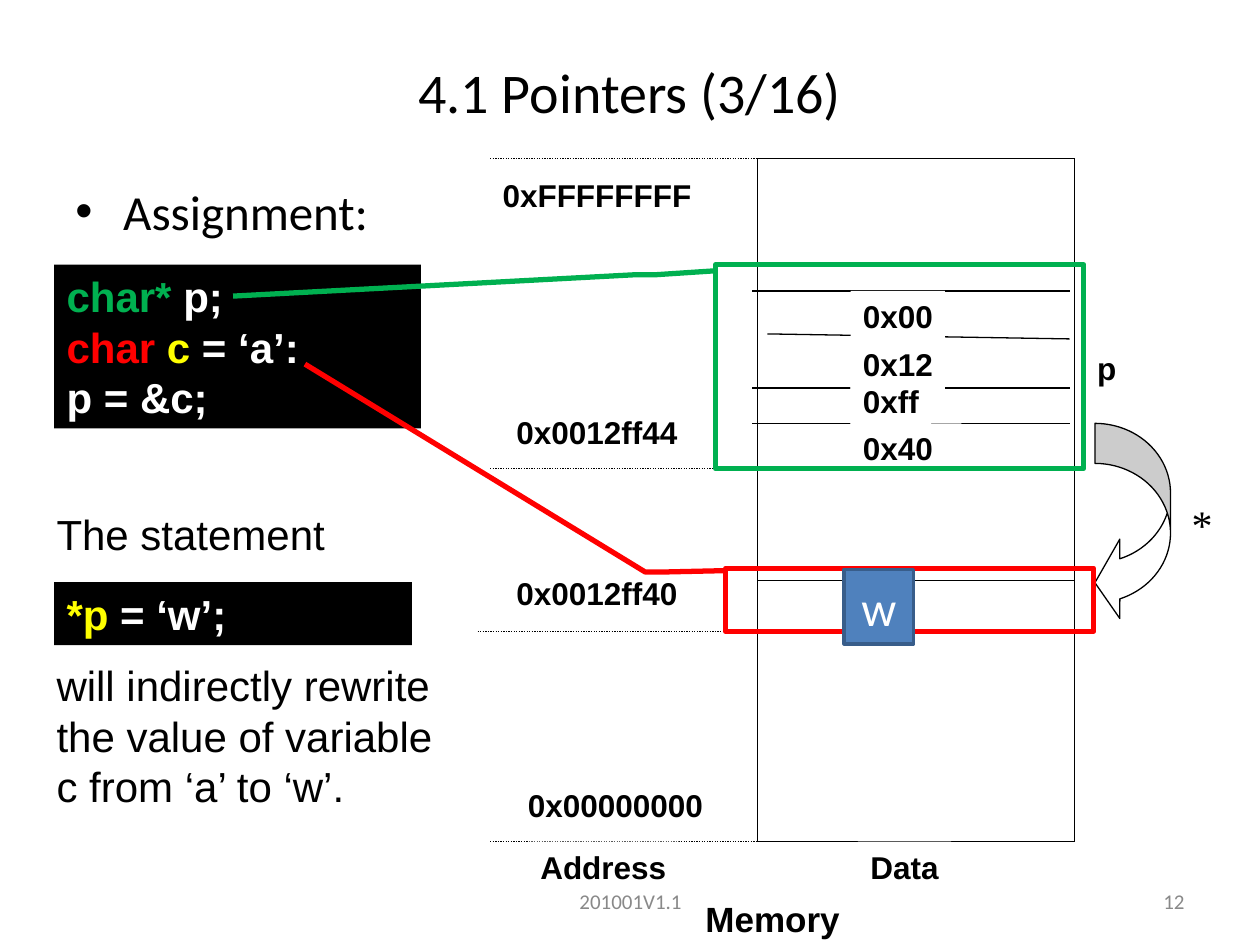
"""Build the slide on pointer assignment with its memory diagram."""
import pptx
import pptx.dml.color
import pptx.enum.dml
import pptx.enum.shapes
import pptx.enum.text
import pptx.oxml
import pptx.oxml.ns
import pptx.util
from pptx.util import Inches

SHAPE = pptx.enum.shapes.MSO_SHAPE
ALIGN = pptx.enum.text.PP_ALIGN
MIDDLE = {"vertical_anchor": pptx.enum.text.MSO_ANCHOR.MIDDLE}
ONE_LINE = {"word_wrap": False, "margin_right": Inches(0)}
BLACK, WHITE, GREY = "000000", "FFFFFF", "898989"
GREEN, RED, YELLOW = "00B050", "FF0000", "FFFF00"


def paint(fill, colour):
    fill.solid()
    fill.fore_color.rgb = pptx.dml.color.RGBColor.from_string(colour)


def write(at, lines, font, align=ALIGN.LEFT, frame={}, fill=None):
    box = [Inches(length) for length in at]
    if fill:
        shape = slide.shapes.add_shape(SHAPE.RECTANGLE, *box)
        shape.shadow.inherit = False
        paint(shape.fill, fill)
        shape.line.fill.background()
    else:
        shape = slide.shapes.add_textbox(*box)
    text = shape.text_frame
    layout = {"word_wrap": True, "vertical_anchor": pptx.enum.text.MSO_ANCHOR.TOP}
    for key, value in {**layout, **frame}.items():
        setattr(text, key, value)
    for index, line in enumerate(lines):
        paragraph = text.add_paragraph() if index else text.paragraphs[0]
        paragraph.alignment = align
        for words, colour in line:
            run = paragraph.add_run()
            run.text = words
            for key, value in font.items():
                setattr(run.font, key, value)
            paint(run.font.fill, colour)
    return shape


presentation = pptx.Presentation()
presentation.slide_width = Inches(10)
presentation.slide_height = Inches(7.5)
slide = presentation.slides.add_slide(presentation.slide_layouts[6])

small = {"name": "Calibri", "size": pptx.util.Pt(12)}
title = {"name": "Calibri", "size": pptx.util.Pt(32)}
bullet = {"name": "Calibri", "size": pptx.util.Pt(28)}
prose = {"name": "Arial", "size": pptx.util.Pt(24)}
code = {**prose, "bold": True}
label = {**code, "size": pptx.util.Pt(18)}
caption = {**code, "size": pptx.util.Pt(20)}
star = {"name": "Times New Roman", "size": pptx.util.Pt(24)}

write((3.42, 6.95, 3.17, 0.4), [[("201001V1.1", GREY)]], small, ALIGN.CENTER, MIDDLE)
write((7.17, 6.95, 2.33, 0.4), [[("12", GREY)]], small, ALIGN.RIGHT, MIDDLE)
write((0, 0.3, 10, 0.85), [[("4.1 Pointers (3/16)", BLACK)]], title, ALIGN.CENTER, MIDDLE)

assignment = write((0.5, 1.39, 9, 5.31), [[("Assignment:", BLACK)]], bullet)
properties = assignment.text_frame.paragraphs[0]._p.get_or_add_pPr()
properties.set("marL", str(Inches(0.38)))
properties.set("indent", str(Inches(-0.38)))
for tag, key, value in (("a:buFont", "typeface", "Arial"), ("a:buChar", "char", "•")):
    mark = pptx.oxml.parse_xml(f"<{tag} {pptx.oxml.ns.nsdecls('a')}/>")
    mark.set(key, value)
    properties.append(mark)

statement = write((0.35, 3.99, 3.31, 2.5), [
    [("The statement", BLACK)],
    [("will indirectly rewrite the value of variable c from ‘a’ to ‘w’.", BLACK)],
], prose)
statement.text_frame.paragraphs[1].space_before = pptx.util.Pt(57.5)

memory_lines = [(x, 1.26, x, 6.68, False) for x in (6.01, 8.53)]
memory_lines += [(6.01, y, 8.53, y, False) for y in (1.26, 3.72, 4.61, 5.01, 6.68)]
memory_lines += [(5.97, y, 8.49, y, False) for y in (2.31, 3.08, 3.36)]
memory_lines += [(6.09, 2.65, 8.49, 2.69, False)]
memory_lines += [(x, y, 6.01, y, True)
                 for x, y in ((3.89, 1.26), (3.89, 3.72), (3.79, 5.01), (3.89, 6.68))]
for *ends, dotted in memory_lines:
    rule = slide.shapes.add_connector(
        pptx.enum.shapes.MSO_CONNECTOR.STRAIGHT, *[Inches(end) for end in ends])
    paint(rule.line.fill, BLACK)
    rule.line.width = pptx.util.Pt(0.75)
    if dotted:
        rule.line.dash_style = pptx.enum.dml.MSO_LINE.ROUND_DOT
    rule._element.spPr.append(
        pptx.oxml.parse_xml(f"<a:effectLst {pptx.oxml.ns.nsdecls('a')}/>"))

for words, left, top, width in (
    ("0x00000000", 4.09, 6.19, 1.59),
    ("0xFFFFFFFF", 3.89, 1.35, 1.7),
    ("0x0012ff40", 4, 4.51, 1.48),
    ("0x0012ff44", 4, 3.23, 1.48),
    ("0x40", 6.75, 3.36, 0.88),
    ("0xff", 6.75, 2.98, 0.64),
    ("0x12", 6.75, 2.69, 0.75),
    ("0x00", 6.75, 2.31, 0.75),
    ("p", 8.61, 2.72, 0.42),
    ("Data", 6.81, 6.68, 0.74),
    ("Address", 4.19, 6.68, 1.2),
):
    write((left, top, width, 0.4), [[(words, BLACK)]], label, frame=ONE_LINE, fill=WHITE)
write((5.5, 7.07, 1.26, 0.43), [[("Memory", BLACK)]], caption, frame=ONE_LINE, fill=WHITE)

dereference = slide.shapes.add_shape(
    SHAPE.CURVED_LEFT_ARROW, Inches(8.69), Inches(3.36), Inches(0.6), Inches(1.58))
dereference.shadow.inherit = False
for index, share in enumerate((0.53, 1.05, 0.33)):
    dereference.adjustments[index] = share
paint(dereference.fill, WHITE)
paint(dereference.line.fill, BLACK)
dereference.line.width = pptx.util.Pt(0.75)
write((9.36, 3.91, 0.36, 0.5), [[("*", BLACK)]], star, frame=ONE_LINE)

write((0.43, 2.1, 2.91, 1.3), [
    [("char*", GREEN), (" p;", WHITE)],
    [("char ", RED), ("c", YELLOW), (" = ‘a’:", WHITE)],
    [("p = &c;", WHITE)],
], code, fill=BLACK)
write((0.43, 4.62, 2.84, 0.5), [[("*p ", YELLOW), ("= ‘w’;", WHITE)]], code, fill=BLACK)

for colour, left, top, width, height, leader in (
    (GREEN, 5.68, 2.1, 2.92, 1.62, ((5.67, 2.15), (5.21, 2.18), (5.05, 2.18), (1.85, 2.35))),
    (RED, 5.76, 4.51, 2.92, 0.5, ((5.74, 4.53), (5.28, 4.54), (5.12, 4.54), (2.42, 2.89))),
):
    callout = slide.shapes.add_shape(
        SHAPE.LINE_CALLOUT_3, Inches(left), Inches(top), Inches(width), Inches(height))
    callout.shadow.inherit = False
    callout.fill.background()
    paint(callout.line.fill, colour)
    callout.line.width = pptx.util.Pt(3)
    for index, (x, y) in enumerate(leader):
        callout.adjustments[2 * index] = (y - top) / height
        callout.adjustments[2 * index + 1] = (x - left) / width

new_value = write((6.7, 4.52, 0.55, 0.59), [[("w", WHITE)]], bullet, ALIGN.CENTER,
                  MIDDLE, "4F81BD")
paint(new_value.line.fill, "385D8A")
new_value.line.width = pptx.util.Pt(2)

presentation.save("out.pptx")
